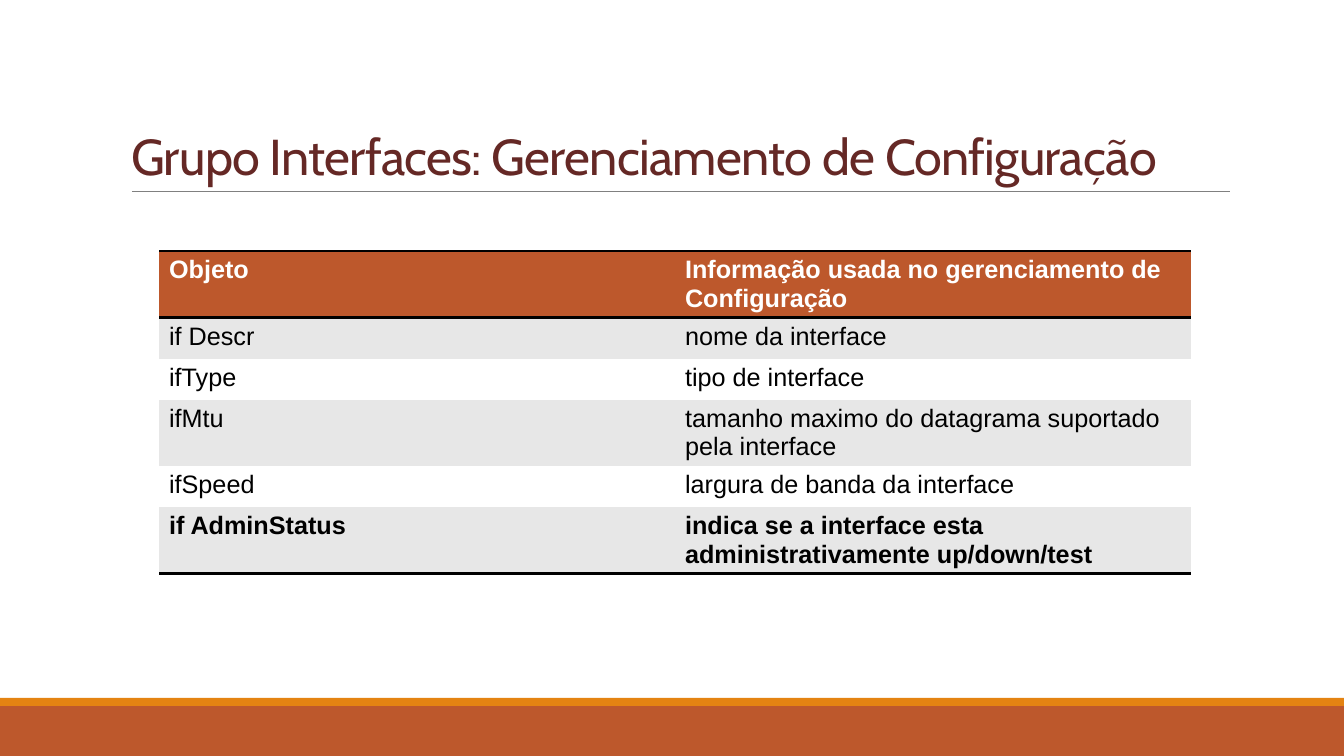
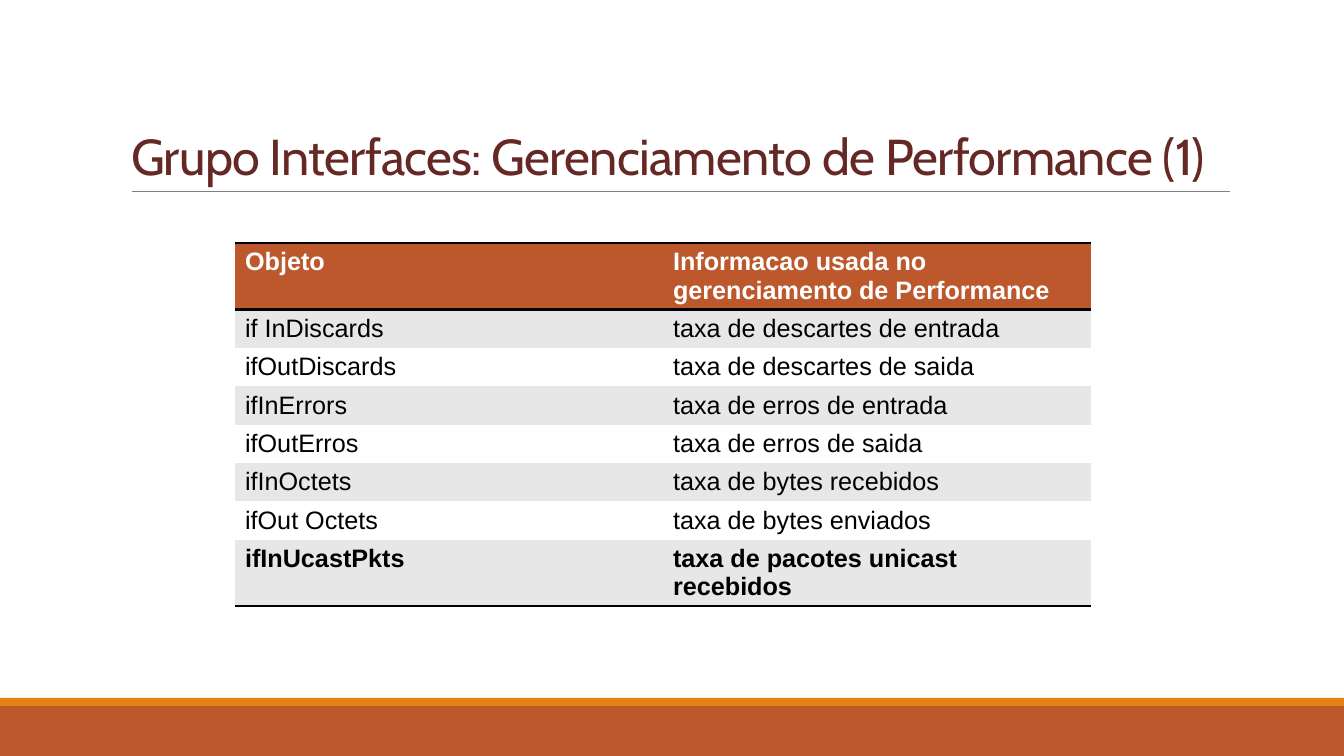
import dataclasses
import typing

import lxml.etree
import pptx
import pptx.dml.color
import pptx.enum.shapes
import pptx.enum.text
import pptx.oxml.ns
import pptx.util

# Scale and colours
EMU_PER_PX = 914400 / 100.8
SLIDE_WIDTH, SLIDE_HEIGHT = 1344, 756

RUST = pptx.dml.color.RGBColor(0xBD, 0x58, 0x2C)
ORANGE = pptx.dml.color.RGBColor(0xE4, 0x83, 0x12)
MAROON = pptx.dml.color.RGBColor(0x65, 0x28, 0x25)
GRAY = pptx.dml.color.RGBColor(0x80, 0x80, 0x80)
PALE_GRAY = pptx.dml.color.RGBColor(0xE7, 0xE7, 0xE7)
WHITE = pptx.dml.color.RGBColor(0xFF, 0xFF, 0xFF)
BLACK = pptx.dml.color.RGBColor(0x00, 0x00, 0x00)

# Shared formats
TITLE_PLACE = {"left": 121, "top": 31, "width": 1109, "height": 160}
TITLE_FRAME = {
    "word_wrap": True,
    "auto_size": pptx.enum.text.MSO_AUTO_SIZE.NONE,
    "vertical_anchor": pptx.enum.text.MSO_ANCHOR.BOTTOM,
}
TITLE_PARAGRAPH = {"alignment": pptx.enum.text.PP_ALIGN.LEFT, "line_spacing": 0.85}
TITLE_FONT = {"name": "Cabin", "size": pptx.util.Pt(36)}
TITLE_TRACKING = "-50"
CELL_FONT = {"name": "Arial", "size": pptx.util.Pt(18)}
PLAIN_TABLE_STYLE = "{2D5ABB26-0587-4C30-8999-92F81FD0307C}"
RULE_WIDTH = pptx.util.Pt(2)


@dataclasses.dataclass(frozen=True)
class Band:
    top: int
    height: int
    color: pptx.dml.color.RGBColor


@dataclasses.dataclass(frozen=True)
class ObjectGroup:
    title: str
    left: int
    top: int
    column_width: int
    header_height: int
    row_height: int
    rows: tuple[tuple[str, str], ...]


BANDS = (Band(706, 50, RUST), Band(698, 8, ORANGE))

GROUPS = (
    ObjectGroup(
        "Grupo Interfaces: Gerenciamento de Configuração",
        159, 251, 516, 41, 41,
        (
            ("Objeto", "Informação usada no gerenciamento de Configuração"),
            ("if Descr", "nome da interface"),
            ("ifType", "tipo de interface"),
            ("ifMtu", "tamanho maximo do datagrama suportado pela interface"),
            ("ifSpeed", "largura de banda da interface"),
            ("if AdminStatus", "indica se a interface esta administrativamente up/down/test"),
        ),
    ),
    ObjectGroup(
        "Grupo Interfaces: Gerenciamento de Performance (1)",
        235, 243, 428, 55, 32,
        (
            ("Objeto", "Informacao usada no gerenciamento de Performance"),
            ("if InDiscards", "taxa de descartes de entrada"),
            ("ifOutDiscards", "taxa de descartes de saida"),
            ("ifInErrors", "taxa de erros de entrada"),
            ("ifOutErros", "taxa de erros de saida"),
            ("ifInOctets", "taxa de bytes recebidos"),
            ("ifOut Octets", "taxa de bytes enviados"),
            ("ifInUcastPkts", "taxa de pacotes unicast recebidos"),
        ),
    ),
)


def px(length: int) -> pptx.util.Emu:
    return pptx.util.Emu(round(length * EMU_PER_PX))


def apply_format(target: typing.Any, values: dict[str, typing.Any]) -> None:
    for name, value in values.items():
        setattr(target, name, value)


# Bands and title rule, moved to the layout so that every slide shows them
def furnish_layout(layout: typing.Any, slide: typing.Any) -> None:
    for placeholder in list(layout.placeholders):
        if placeholder.placeholder_format.idx != 0:
            layout.shapes.element.remove(placeholder.element)
    for band in BANDS:
        strip = slide.shapes.add_shape(
            pptx.enum.shapes.MSO_SHAPE.RECTANGLE,
            0, px(band.top), px(SLIDE_WIDTH), px(band.height),
        )
        strip.shadow.inherit = False
        strip.fill.solid()
        strip.fill.fore_color.rgb = band.color
        strip.line.fill.background()
        layout.shapes.element.append(strip.element)
    title_rule = slide.shapes.add_connector(
        pptx.enum.shapes.MSO_CONNECTOR.STRAIGHT, px(132), px(191), px(1230), px(191)
    )
    title_rule.line.color.rgb = GRAY
    title_rule.line.width = pptx.util.Pt(0.5)
    properties = title_rule.element.find(pptx.oxml.ns.qn("p:spPr"))
    lxml.etree.SubElement(properties, pptx.oxml.ns.qn("a:effectLst"))
    layout.shapes.element.append(title_rule.element)


def write_title(slide: typing.Any, text: str) -> None:
    title = slide.shapes.title
    apply_format(title, {side: px(length) for side, length in TITLE_PLACE.items()})
    apply_format(title.text_frame, TITLE_FRAME)
    paragraph = title.text_frame.paragraphs[0]
    apply_format(paragraph, TITLE_PARAGRAPH)
    run = paragraph.add_run()
    run.text = text
    apply_format(run.font, TITLE_FONT)
    run.font.color.rgb = MAROON
    run.font.element.set("spc", TITLE_TRACKING) if hasattr(run.font, "element") else (
        run._r.get_or_add_rPr().set("spc", TITLE_TRACKING)
    )


def add_rules(cell: typing.Any, sides: tuple[str, ...]) -> None:
    properties = cell._tc.get_or_add_tcPr()
    for position, side in enumerate(sides):
        rule = lxml.etree.Element(pptx.oxml.ns.qn(f"a:ln{side}"), w=str(RULE_WIDTH))
        fill = lxml.etree.SubElement(rule, pptx.oxml.ns.qn("a:solidFill"))
        lxml.etree.SubElement(fill, pptx.oxml.ns.qn("a:srgbClr"), val=str(BLACK))
        properties.insert(position, rule)


def draw_objects(slide: typing.Any, group: ObjectGroup) -> None:
    row_count = len(group.rows)
    table = slide.shapes.add_table(
        row_count, 2, px(group.left), px(group.top),
        px(2 * group.column_width),
        px(group.header_height + (row_count - 1) * group.row_height),
    ).table
    apply_format(table, {"first_row": True, "horz_banding": False})
    style = table._tbl.tblPr.find(pptx.oxml.ns.qn("a:tableStyleId"))
    style.text = PLAIN_TABLE_STYLE

    for index, texts in enumerate(group.rows):
        is_header, is_last = index == 0, index == row_count - 1
        table.rows[index].height = px(group.header_height if is_header else group.row_height)
        fill_color = RUST if is_header else PALE_GRAY if index % 2 else WHITE
        sides = ("T", "B") if is_header else ("B",) if is_last else ()
        for column, text in enumerate(texts):
            cell = table.cell(index, column)
            cell.fill.solid()
            cell.fill.fore_color.rgb = fill_color
            add_rules(cell, sides)
            run = cell.text_frame.paragraphs[0].add_run()
            run.text = text
            apply_format(run.font, CELL_FONT | {"bold": is_header or is_last})
            run.font.color.rgb = WHITE if is_header else BLACK


def main() -> None:
    presentation = pptx.Presentation()
    apply_format(
        presentation, {"slide_width": px(SLIDE_WIDTH), "slide_height": px(SLIDE_HEIGHT)}
    )
    layout = presentation.slide_layouts.get_by_name("Title Only")
    for number, group in enumerate(GROUPS):
        slide = presentation.slides.add_slide(layout)
        if number == 0:
            furnish_layout(layout, slide)
        write_title(slide, group.title)
        draw_objects(slide, group)
    presentation.save("out.pptx")


if __name__ == "__main__":
    main()
